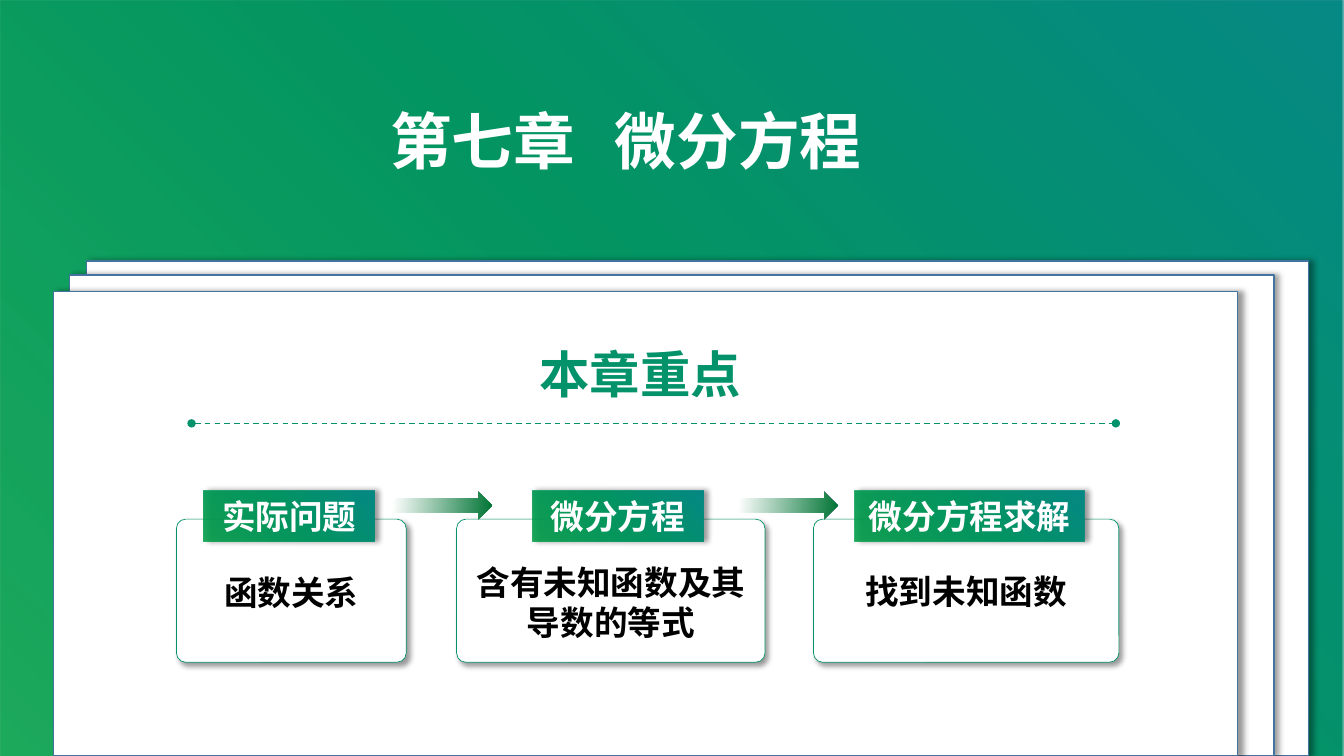
"""Build the chapter slide on differential equations."""
from pptx import Presentation
from pptx.dml.color import RGBColor
from pptx.enum.dml import MSO_LINE
from pptx.enum.shapes import MSO_CONNECTOR, MSO_SHAPE
from pptx.enum.text import MSO_ANCHOR, PP_ALIGN
from pptx.oxml import parse_xml
from pptx.oxml.ns import nsdecls, qn
from pptx.util import Inches, Pt

RECT, ROUNDED, ARROW = MSO_SHAPE.RECTANGLE, MSO_SHAPE.ROUNDED_RECTANGLE, MSO_SHAPE.RIGHT_ARROW
STRAIGHT, DASH = MSO_CONNECTOR.STRAIGHT, MSO_LINE.DASH
LEFT, CENTER, MIDDLE = PP_ALIGN.LEFT, PP_ALIGN.CENTER, MSO_ANCHOR.MIDDLE

CELL = 0.1
COLUMNS, ROWS = 133.33, 75
COLORS = {"white": "FFFFFF", "black": "000000", "leaf": "009E47", "green": "039463",
          "teal": "068885", "edge": "04926A", "sheet": "43739E", "arrow": "007434"}
BRAND_STOPS = [(0, "leaf", 88), (55, "green", 100), (100, "teal", 100)]
BRAND_SHADE = '<a:path path="circle"><a:fillToRect t="100000" r="100000"/></a:path>'
ARROW_STOPS = [(4, "white", 100), (100, "arrow", 100)]
ARROW_SHADE = '<a:lin ang="300000" scaled="0"/>'

BODY = {"name": "Calibri", "size": Pt(24), "bold": True}
TITLE = {"name": "Noto Sans CJK SC", "size": Pt(44), "bold": True}
HEADING = {**TITLE, "size": Pt(36)}

SHEETS = [(8.6, 25.9, 121.2), (6.9, 27.3, 119.5), (5.3, 28.9, 117.5)]
STAGES = [
    {"card": (17.5, 22.8), "label": (20.2, 17), "name": "实际问题",
     "meaning": ["函数关系"], "middle": 58.7},
    {"card": (45.3, 30.6), "label": (52.8, 17), "name": "微分方程",
     "meaning": ["含有未知函数及其", "导数的等式"], "middle": 59.7},
    {"card": (80.7, 30.3), "label": (84.8, 22.8), "name": "微分方程求解",
     "meaning": ["找到未知函数"], "middle": 58.6},
]
ARROW_COLUMNS = [38.6, 72.9]


def grid(*cells):
    """Turn grid cells into lengths."""
    return [Inches(cell * CELL) for cell in cells]


def color(name):
    """Look up a colour by name."""
    return RGBColor.from_string(COLORS[name])


def shade(shape, stops, direction):
    """Fill a shape with a gradient."""
    marks = "".join(
        f'<a:gs pos="{place * 1000}"><a:srgbClr val="{COLORS[name]}">'
        f'<a:alpha val="{alpha * 1000}"/></a:srgbClr></a:gs>'
        for place, name, alpha in stops)
    shape.fill.gradient()
    properties = shape._element.spPr
    properties.replace(properties.find(qn("a:gradFill")), parse_xml(
        f'<a:gradFill {nsdecls("a")} rotWithShape="1">'
        f'<a:gsLst>{marks}</a:gsLst>{direction}</a:gradFill>'))


def cast_shadow(shape, degrees):
    """Give a shape a soft outer shadow."""
    shape._element.spPr.find(qn("a:effectLst")).append(parse_xml(
        f'<a:outerShdw {nsdecls("a")} blurRad="{Pt(4)}" dist="{Pt(3)}" '
        f'dir="{degrees * 60000}" algn="tl" rotWithShape="0">'
        f'<a:srgbClr val="{COLORS["black"]}"><a:alpha val="40000"/></a:srgbClr></a:outerShdw>'))


def add_panel(shapes, kind, place, fill=None, edge=None, width=1):
    """Add a flat shape with an optional fill and outline."""
    panel = shapes.add_shape(kind, *grid(*place))
    panel.shadow.inherit = False
    if fill:
        panel.fill.solid()
        panel.fill.fore_color.rgb = color(fill)
    if edge:
        panel.line.color.rgb = color(edge)
        panel.line.width = Pt(width)
    else:
        panel.line.fill.background()
    return panel


def write(shape, lines, style, ink, align=CENTER, wrap=True):
    """Write formatted paragraphs into a shape."""
    frame = shape.text_frame
    frame.text = "\n".join(lines)
    frame.word_wrap = wrap
    frame.vertical_anchor = MIDDLE
    for paragraph in frame.paragraphs:
        paragraph.alignment = align
        for run in paragraph.runs:
            for attribute, value in style.items():
                setattr(run.font, attribute, value)
            run.font.color.rgb = color(ink)
            run.font._element.append(parse_xml(
                f'<a:ea {nsdecls("a")} typeface="{TITLE["name"]}"/>'))


def add_title(slide):
    """Place the chapter title in front of the backdrop."""
    title = slide.shapes.title
    title.left, title.top, title.width, title.height = grid(37.7, 9.7, 64.9, 8.4)
    write(title, ["第七章\t微分方程"], TITLE, "white", LEFT)
    title.text_frame.paragraphs[0]._p.get_or_add_pPr().append(parse_xml(
        f'<a:tabLst {nsdecls("a")}><a:tab pos="{Inches(2.23)}" algn="l"/></a:tabLst>'))
    slide.shapes._spTree.append(title._element)


def add_divider(shapes):
    """Add the dashed rule with round ends."""
    divider = shapes.add_connector(STRAIGHT, *grid(19, 42, 110.7, 42))
    divider.line.color.rgb = color("edge")
    divider.line.width = Pt(1)
    divider.line.dash_style = DASH
    outline = divider.line._get_or_add_ln()
    for end in ("headEnd", "tailEnd"):
        outline.append(parse_xml(f'<a:{end} {nsdecls("a")} type="oval"/>'))
    divider._element.spPr.append(parse_xml(f'<a:effectLst {nsdecls("a")}/>'))


def add_stage(shapes, stage):
    """Add a card with its label and meaning as one group."""
    parts = shapes.add_group_shape().shapes
    left, width = stage["card"]
    card = add_panel(parts, ROUNDED, (left, 51.5, width, 14.2), "white", "edge", 0.5)
    card.adjustments[0] = 0.065
    cast_shadow(card, 45)

    left_label, width_label = stage["label"]
    label = add_panel(parts, RECT, (left_label, 48.65, width_label, 5.1))
    shade(label, BRAND_STOPS, BRAND_SHADE)
    cast_shadow(label, 0)
    write(label, [stage["name"]], BODY, "white")

    height = 1 + 4 * len(stage["meaning"])
    meaning = parts.add_textbox(
        *grid(left + 0.5, stage["middle"] - height / 2, width - 1, height))
    write(meaning, stage["meaning"], BODY, "black", wrap=False)


def main():
    """Compose and save the slide."""
    deck = Presentation()
    deck.slide_width, deck.slide_height = grid(COLUMNS, ROWS)
    slide = deck.slides.add_slide(deck.slide_layouts[5])
    shapes = slide.shapes

    backdrop = add_panel(shapes, RECT, (0, 0, COLUMNS, ROWS))
    shade(backdrop, BRAND_STOPS, BRAND_SHADE)
    add_title(slide)
    for left, top, width in SHEETS:
        sheet = add_panel(shapes, RECT, (left, top, width, ROWS - top), "white", "sheet")
        cast_shadow(sheet, 0)

    heading = shapes.add_textbox(*grid(48.5, 33.5, 30, 7))
    write(heading, ["本章重点"], HEADING, "edge")
    add_divider(shapes)
    for stage in STAGES:
        add_stage(shapes, stage)
    for left in ARROW_COLUMNS:
        arrow = add_panel(shapes, ARROW, (left, 48.8, 10.2, 2.7))
        shade(arrow, ARROW_STOPS, ARROW_SHADE)
    deck.save("out.pptx")


if __name__ == "__main__":
    main()
